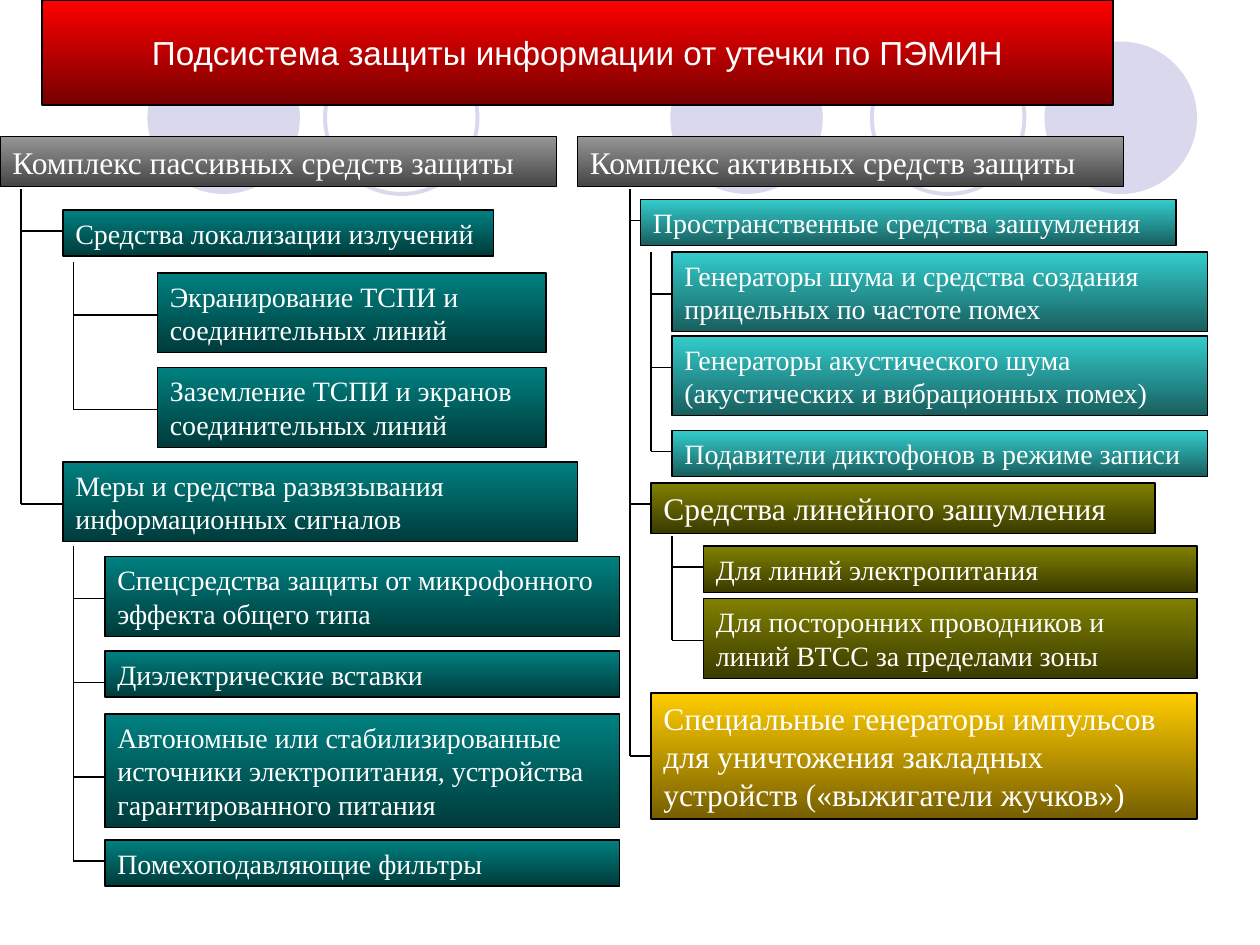
import pptx
import pptx.dml.color
import pptx.enum.shapes
import pptx.enum.text
import pptx.oxml
import pptx.util
from pptx.oxml.ns import qn

RGBColor = pptx.dml.color.RGBColor
WHITE = RGBColor(0xFF, 0xFF, 0xFF)
BLACK = RGBColor(0x00, 0x00, 0x00)
LILAC = RGBColor(0xD9, 0xD8, 0xEC)
RED = (RGBColor(0xFF, 0x00, 0x00), RGBColor(0x76, 0x00, 0x00))
GRAY = (RGBColor(0x96, 0x96, 0x96), RGBColor(0x45, 0x45, 0x45))
TEAL = (RGBColor(0x00, 0x80, 0x80), RGBColor(0x00, 0x3B, 0x3B))
AQUA = (RGBColor(0x33, 0xCC, 0xCC), RGBColor(0x18, 0x5E, 0x5E))
OLIVE = (RGBColor(0x80, 0x80, 0x00), RGBColor(0x3B, 0x3B, 0x00))
GOLD = (RGBColor(0xFF, 0xCC, 0x00), RGBColor(0x76, 0x5E, 0x00))

GRID = 1 / 12  # inches per grid step
INSET = 0.05
LINE_HEIGHT = {16: 0.267, 18: 0.3}

TITLE = "Подсистема защиты информации от утечки по ПЭМИН"

# left, top, width in grid steps; text lines; point size; gradient; text
BOXES = [
    (0, 13, 53, 1, 18, GRAY, "Комплекс пассивных средств защиты"),
    (55, 13, 52, 1, 18, GRAY, "Комплекс активных средств защиты"),
    (6, 20, 41, 1, 16, TEAL, "Средства локализации излучений"),
    (15, 26, 37, 2, 16, TEAL, "Экранирование ТСПИ и соединительных линий"),
    (15, 35, 37, 2, 16, TEAL, "Заземление ТСПИ и экранов соединительных линий"),
    (6, 44, 49, 2, 16, TEAL, "Меры и средства развязывания информационных сигналов"),
    (10, 53, 49, 2, 16, TEAL, "Спецсредства защиты от микрофонного эффекта общего типа"),
    (10, 62, 49, 1, 16, TEAL, "Диэлектрические вставки"),
    (10, 68, 49, 3, 16, TEAL, "Автономные или стабилизированные источники "
     "электропитания, устройства гарантированного питания"),
    (10, 80, 49, 1, 16, TEAL, "Помехоподавляющие фильтры"),
    (61, 19, 51, 1, 16, AQUA, "Пространственные средства зашумления"),
    (64, 24, 51, 2, 16, AQUA, "Генераторы шума и средства создания прицельных по частоте помех"),
    (64, 32, 51, 2, 16, AQUA, "Генераторы акустического шума (акустических и вибрационных помех)"),
    (64, 41, 51, 1, 16, AQUA, "Подавители диктофонов в режиме записи"),
    (62, 46, 48, 1, 18, OLIVE, "Средства линейного зашумления"),
    (67, 52, 47, 1, 16, OLIVE, "Для линий электропитания"),
    (67, 57, 47, 2, 16, OLIVE, "Для посторонних проводников и линий ВТСС за пределами зоны"),
    (62, 66, 52, 3, 18, GOLD, "Специальные генераторы импульсов для уничтожения "
     "закладных устройств («выжигатели жучков»)"),
]

# trunk x, trunk top, branches as (y, end x); the last branch ends the trunk
TREES = [
    (2, 18, [(22, 6), (48, 6)]),
    (7, 25, [(30, 15), (39, 15)]),
    (7, 52, [(57, 10), (65, 10), (74, 10), (82, 10)]),
    (60, 18, [(21, 61), (48, 62), (72, 62)]),
    (62, 24, [(28, 64), (35, 64), (43, 64)]),
    (64, 51, [(54, 67), (61, 67)]),
]

CIRCLE_SIZE, CIRCLE_TOP = 1.21, 0.33
CIRCLES = [(5.32, True), (8.29, True), (1.17, True), (6.92, False), (2.58, False)]  # left, filled


def steps(count):
    return pptx.util.Inches(count * GRID)


def style_panel(shape, gradient):
    shape.fill.gradient()
    shape.fill.gradient_angle = 270
    for stop, color in zip(shape.fill.gradient_stops, gradient):
        stop.color.rgb = color
    shape.line.color.rgb = BLACK
    shape.line.width = pptx.util.Pt(0.75)


def write(shape, text, font_name, size, alignment, anchor):
    frame = shape.text_frame
    frame.text = text
    frame.word_wrap = True
    frame.auto_size = pptx.enum.text.MSO_AUTO_SIZE.NONE
    frame.vertical_anchor = anchor
    paragraph = frame.paragraphs[0]
    paragraph.alignment = alignment
    paragraph.font.name = font_name
    paragraph.font.size = pptx.util.Pt(size)
    paragraph.font.color.rgb = WHITE


def add_title(slide):
    title = slide.shapes.title
    title.left, title.top, title.width, title.height = map(steps, (4, 0, 102, 10))
    style_panel(title, RED)
    write(title, TITLE, "Arial", 19, pptx.enum.text.PP_ALIGN.CENTER,
          pptx.enum.text.MSO_ANCHOR.MIDDLE)


def add_circle(slide, left, filled):
    """Add a background circle behind the title."""
    size = pptx.util.Inches(CIRCLE_SIZE)
    circle = slide.shapes.add_shape(
        pptx.enum.shapes.MSO_SHAPE.OVAL, pptx.util.Inches(left),
        pptx.util.Inches(CIRCLE_TOP), size, size)
    circle.shadow.inherit = False
    if filled:
        circle.fill.solid()
        circle.fill.fore_color.rgb = LILAC
        circle.line.fill.background()
    else:
        circle.fill.background()
        circle.line.color.rgb = LILAC
        circle.line.width = pptx.util.Pt(2.25)
    slide.shapes.title.element.addprevious(circle.element)


def add_box(slide, left, top, width, lines, size, gradient, text):
    height = pptx.util.Inches(2 * INSET + lines * LINE_HEIGHT[size])
    box = slide.shapes.add_shape(
        pptx.enum.shapes.MSO_SHAPE.RECTANGLE, steps(left), steps(top), steps(width), height)
    box.shadow.inherit = False
    style_panel(box, gradient)
    write(box, text, "Times New Roman", size, pptx.enum.text.PP_ALIGN.LEFT,
          pptx.enum.text.MSO_ANCHOR.TOP)


def add_line(slide, *ends):
    line = slide.shapes.add_connector(
        pptx.enum.shapes.MSO_CONNECTOR.STRAIGHT, *map(steps, ends))
    line.line.color.rgb = BLACK
    line.line.width = pptx.util.Pt(0.75)
    line.element.spPr.append(pptx.oxml.xmlchemy.OxmlElement("a:effectLst"))


def add_tree(slide, trunk, top, branches):
    add_line(slide, trunk, top, trunk, branches[-1][0])
    for y, end in branches:
        add_line(slide, trunk, y, end, y)


def main():
    presentation = pptx.Presentation()
    presentation.slide_width = pptx.util.Inches(10)
    presentation.slide_height = pptx.util.Inches(7.5)
    slide = presentation.slides.add_slide(presentation.slide_layouts.get_by_name("Title Only"))
    add_title(slide)
    for circle in CIRCLES:
        add_circle(slide, *circle)
    for box in BOXES:
        add_box(slide, *box)
    for tree in TREES:
        add_tree(slide, *tree)
    presentation.save("out.pptx")


if __name__ == "__main__":
    main()
